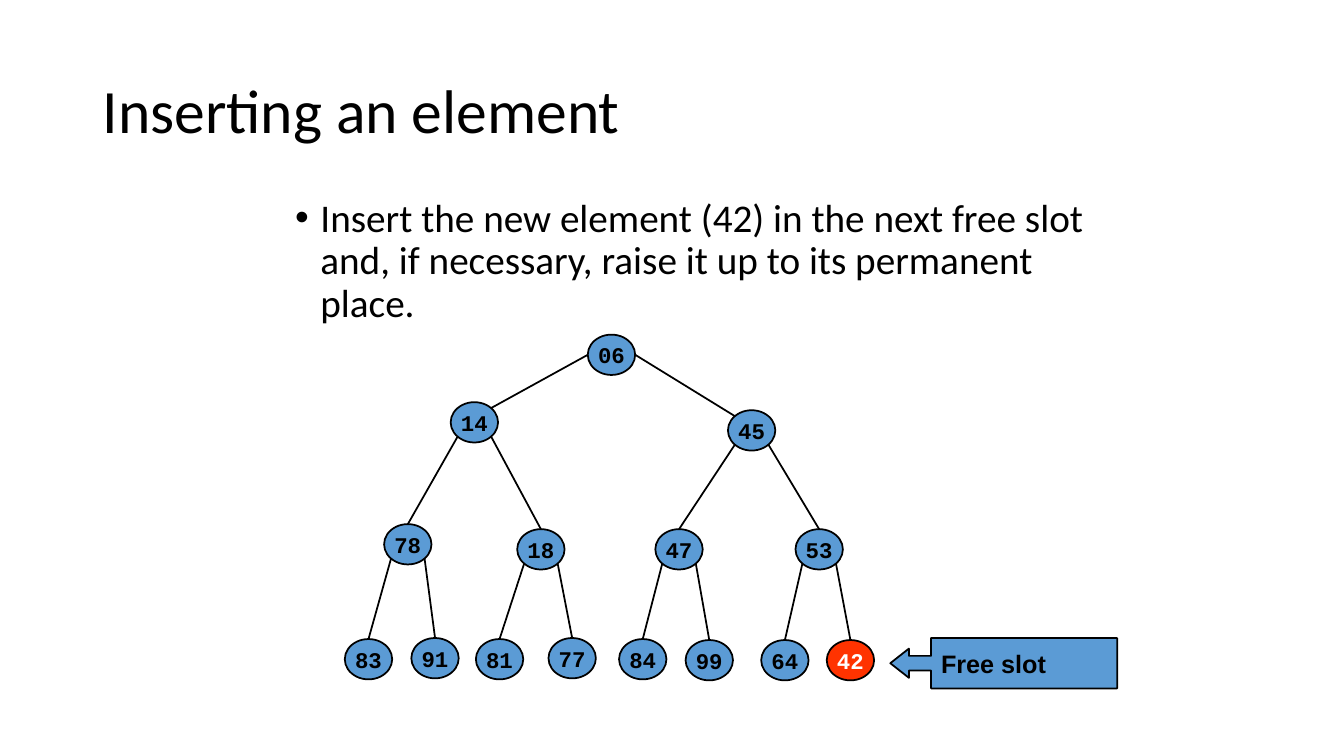
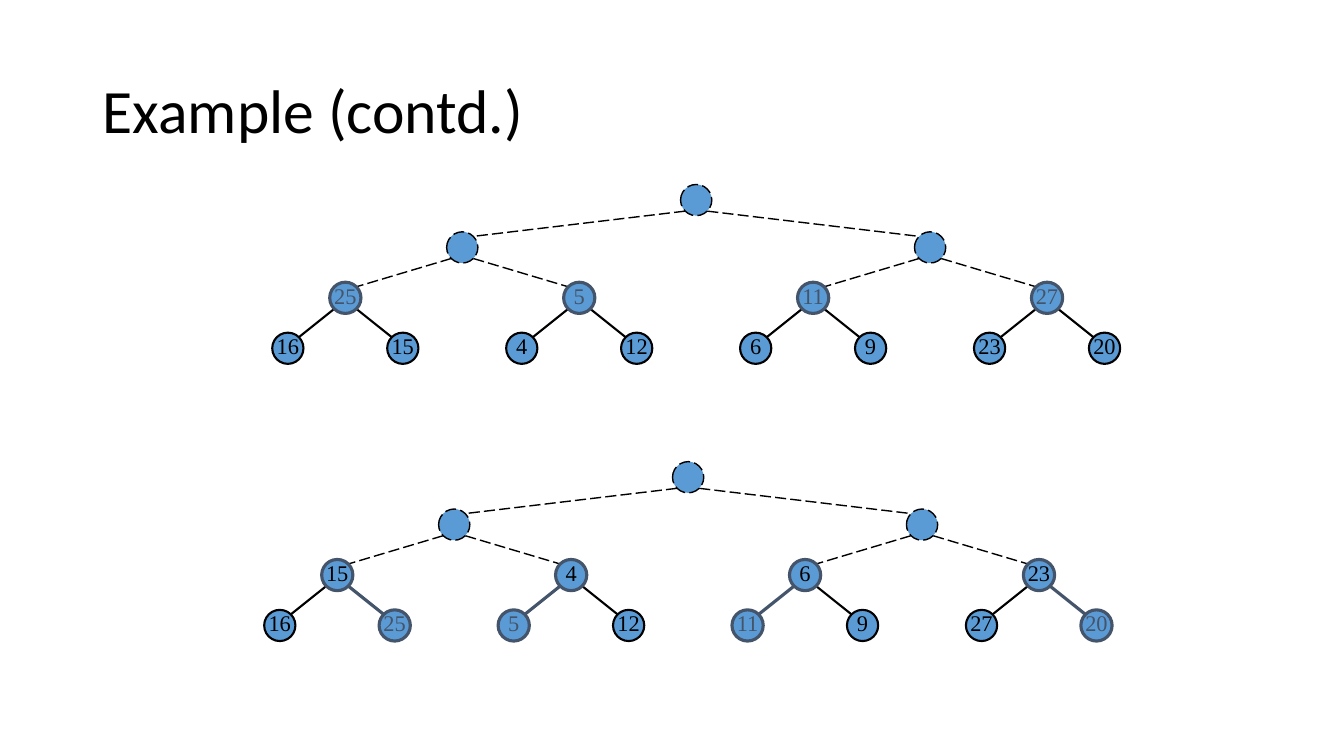
from lxml import etree
from pptx import Presentation
from pptx.dml.color import RGBColor
from pptx.enum.dml import MSO_LINE
from pptx.enum.shapes import MSO_CONNECTOR, MSO_SHAPE
from pptx.enum.text import MSO_ANCHOR, PP_ALIGN
from pptx.oxml.ns import qn
from pptx.util import Inches, Pt

OVAL, CALLOUT = MSO_SHAPE.OVAL, MSO_SHAPE.LEFT_ARROW_CALLOUT
STRAIGHT, DASH = MSO_CONNECTOR.STRAIGHT, MSO_LINE.LONG_DASH
MIDDLE, TOP = MSO_ANCHOR.MIDDLE, MSO_ANCHOR.TOP
LEFT, CENTER = PP_ALIGN.LEFT, PP_ALIGN.CENTER

BLACK, WHITE, BLUE, RED, SLATE = "000000", "FFFFFF", "5B9BD5", "FF3300", "44546A"
MARGINS = (0.1, 0.05, 0.1, 0.05)
DIAGONAL = 0.354  # offset of an oval's corner point, as a share of its size

TITLE_FONT = {"name": "Calibri", "size": Pt(44)}
BODY_FONT = {"name": "Calibri", "size": Pt(28)}
HEAP_FONT = {"name": "Courier New", "size": Pt(16), "bold": True}
CALLOUT_FONT = {"name": "Arial", "size": Pt(18), "bold": True}
SMALL_FONT = {"name": "Times New Roman", "size": Pt(16)}

# Slide 1: heap in level order (label, left, top)
INSERT_TITLE = "Inserting an element"
INSERT_TEXT = ("Insert the new element (42) in the next free slot and, "
               "if necessary, raise it up to its permanent place.")
HEAP = [
    ("06", 5.83, 3.32),
    ("14", 4.47, 3.99), ("45", 7.22, 4.07),
    ("78", 3.81, 5.2), ("18", 5.13, 5.25), ("47", 6.5, 5.25), ("53", 7.89, 5.25),
    ("83", 3.42, 6.34), ("91", 4.08, 6.33), ("81", 4.72, 6.34), ("77", 5.44, 6.33),
    ("84", 6.14, 6.34), ("99", 6.8, 6.35), ("64", 7.55, 6.35), ("42", 8.2, 6.35),
]
HEAP_SIZE = (0.47, 0.4)
NEW_ELEMENT = "42"
HEAP_LINE = (BLACK, 1.25)

# Slide 2: two trees; the top three nodes are still empty
EXAMPLE_TITLE = "Example (contd.)"
EXAMPLE_TREES = [
    {"root": (6.75, 1.83), "subroots": "25 5 11 27", "subroot_style": "moved",
     "leaves": "16 15 4 12 6 9 23 20", "moved": ""},
    {"root": (6.67, 4.58), "subroots": "15 4 6 23", "subroot_style": "settled",
     "leaves": "16 25 5 12 11 9 27 20", "moved": "25 5 11 20"},
]
EXAMPLE_SIZE = (0.31, 0.31)
LEVEL_TOPS = (0, 0.47, 0.97, 1.47)
LEVEL_SPREADS = (0, 2.32, 1.16, 0.57)
STYLES = {  # line, text colour
    "empty": ((BLACK, 1, DASH), BLACK),
    "plain": ((BLACK, 1.5), BLACK),
    "moved": ((SLATE, 2.25), SLATE),
    "settled": ((SLATE, 2.25), BLACK),
}


def rgb(value):
    return RGBColor.from_string(value)


def set_line(line, color, width, dash=None):
    line.color.rgb = rgb(color)
    line.width = Pt(width)
    if dash:
        line.dash_style = dash


def write(shape, text, font, color=BLACK, align=LEFT, anchor=MIDDLE,
          margins=MARGINS, wrap=True, spacing=None, bullet=False):
    frame = shape.text_frame
    frame.word_wrap, frame.vertical_anchor = wrap, anchor
    for side, margin in zip(("left", "top", "right", "bottom"), margins):
        setattr(frame, f"margin_{side}", Inches(margin))
    para = frame.paragraphs[0]
    para.alignment = align
    if spacing:
        para.line_spacing = spacing
    if bullet:
        props = para._p.get_or_add_pPr()
        props.set("marL", str(Inches(0.25)))
        props.set("indent", str(Inches(-0.25)))
        etree.SubElement(props, qn("a:buFont")).set("typeface", "Arial")
        etree.SubElement(props, qn("a:buChar")).set("char", "•")
    span = para.add_run()
    span.text = text
    for name, value in font.items():
        setattr(span.font, name, value)
    span.font.color.rgb = rgb(color)


def add_text(page, at, text, font, **options):
    box = page.shapes.add_textbox(*map(Inches, at))
    write(box, text, font, spacing=0.9, **options)


def add_shape(page, kind, at, fill, line):
    shape = page.shapes.add_shape(kind, *map(Inches, at))
    shape.shadow.inherit = False
    shape.fill.solid()
    shape.fill.fore_color.rgb = rgb(fill)
    set_line(shape.line, *line)
    return shape


def add_edge(page, start, end, line):
    edge = page.shapes.add_connector(STRAIGHT, *map(Inches, start + end))
    set_line(edge.line, *line)
    etree.SubElement(edge._element.spPr, qn("a:effectLst"))


def oval_point(place, size, across, down):
    """Point on an oval; across and down are offsets from its centre in sizes."""
    return tuple(start + length * (0.5 + offset)
                 for start, length, offset in zip(place, size, (across, down)))


def tree_links(count):
    """Parent, child and side (-1 left, 1 right) in a level-order list."""
    for child in range(1, count):
        yield (child - 1) // 2, child, -1 if child % 2 else 1


def new_page(deck, title):
    page = deck.slides.add_slide(deck.slide_layouts[6])
    add_text(page, (0.92, 0.4, 11.5, 1.45), title, TITLE_FONT)
    return page


def insert_slide(deck):
    page = new_page(deck, INSERT_TITLE)
    add_text(page, (2.83, 1.92, 8.33, 1.58), INSERT_TEXT, BODY_FONT,
             anchor=TOP, bullet=True)

    # Edges: the root joins at its sides, the other nodes at their corners
    places = [(left, top) for _, left, top in HEAP]
    for parent, child, side in tree_links(len(HEAP)):
        if parent == 0:
            leave, arrive = (side * 0.5, 0), (-side * DIAGONAL, -DIAGONAL)
        else:
            leave, arrive = (side * DIAGONAL, DIAGONAL), (0, -0.5)
        add_edge(page, oval_point(places[parent], HEAP_SIZE, *leave),
                 oval_point(places[child], HEAP_SIZE, *arrive), HEAP_LINE)

    # Nodes
    for label, left, top in HEAP:
        fill, color = (RED, WHITE) if label == NEW_ELEMENT else (BLUE, BLACK)
        node = add_shape(page, OVAL, (left, top) + HEAP_SIZE, fill, HEAP_LINE)
        write(node, label, HEAP_FONT, color, CENTER, wrap=False)

    # Callout
    callout = add_shape(page, CALLOUT, (8.83, 6.33, 2.25, 0.5), BLUE, HEAP_LINE)
    for index, value in enumerate((0.29, 0.29, 0.37, 0.82)):
        callout.adjustments[index] = value
    write(callout, "Free slot", CALLOUT_FONT)


def example_tree(page, tree):
    moved = tree["moved"].split()
    nodes = [("", "empty")] * 3
    nodes += [(label, tree["subroot_style"]) for label in tree["subroots"].split()]
    nodes += [(label, "moved" if label in moved else "plain")
              for label in tree["leaves"].split()]

    # Each level halves the spread of the one above
    left, top = tree["root"]
    places = [tree["root"]]
    for parent, child, side in tree_links(len(nodes)):
        level = (child + 1).bit_length() - 1
        places.append((places[parent][0] + side * LEVEL_SPREADS[level],
                       top + LEVEL_TOPS[level]))

    for parent, child, side in tree_links(len(nodes)):
        style = "empty" if nodes[parent][1] == "empty" else nodes[child][1]
        add_edge(page,
                 oval_point(places[parent], EXAMPLE_SIZE, side * DIAGONAL, DIAGONAL),
                 oval_point(places[child], EXAMPLE_SIZE, -side * DIAGONAL, -DIAGONAL),
                 STYLES[style][0])

    for (label, style), place in zip(nodes, places):
        line, color = STYLES[style]
        node = add_shape(page, OVAL, place + EXAMPLE_SIZE, BLUE, line)
        if label:
            write(node, label, SMALL_FONT, color, CENTER,
                  margins=(0, 0, 0, 0.05), wrap=False)


def example_slide(deck):
    page = new_page(deck, EXAMPLE_TITLE)
    for tree in EXAMPLE_TREES:
        example_tree(page, tree)


def main():
    deck = Presentation()
    deck.slide_width, deck.slide_height = Inches(13.33), Inches(7.5)
    insert_slide(deck)
    example_slide(deck)
    deck.save("out.pptx")


if __name__ == "__main__":
    main()
